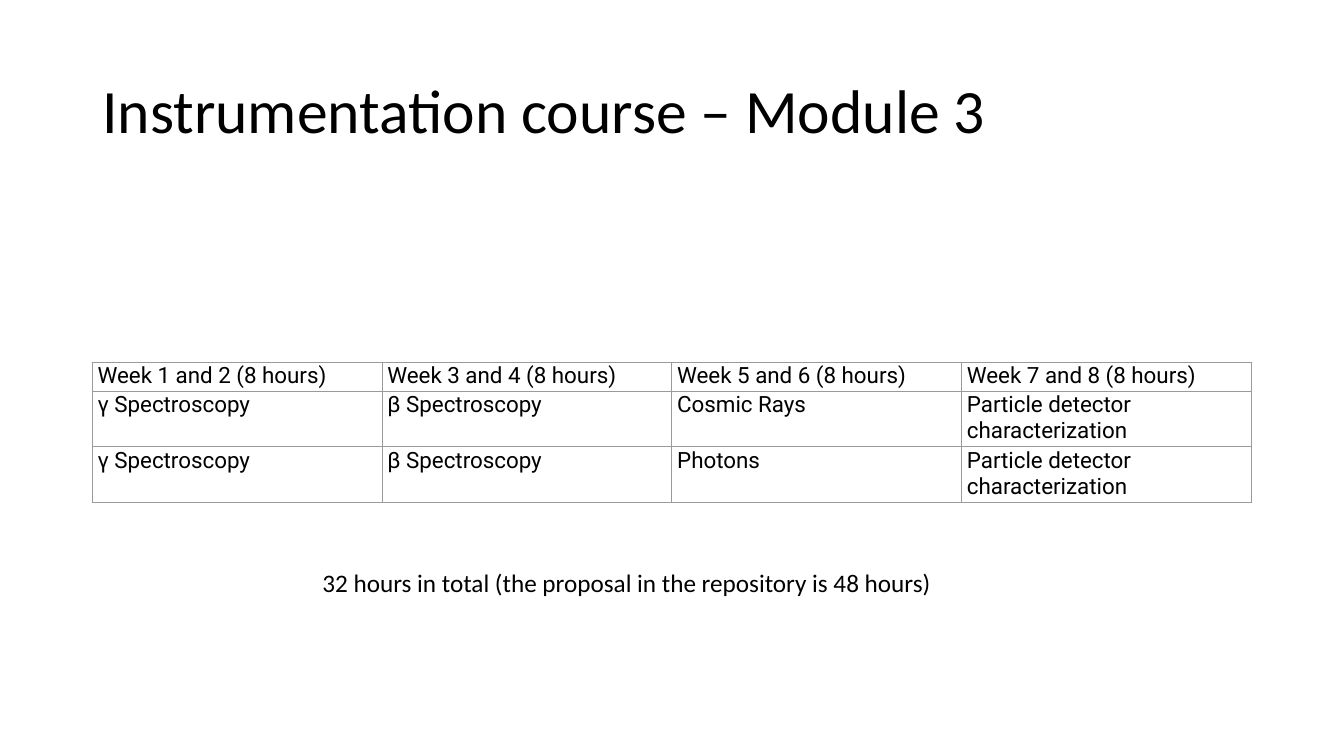
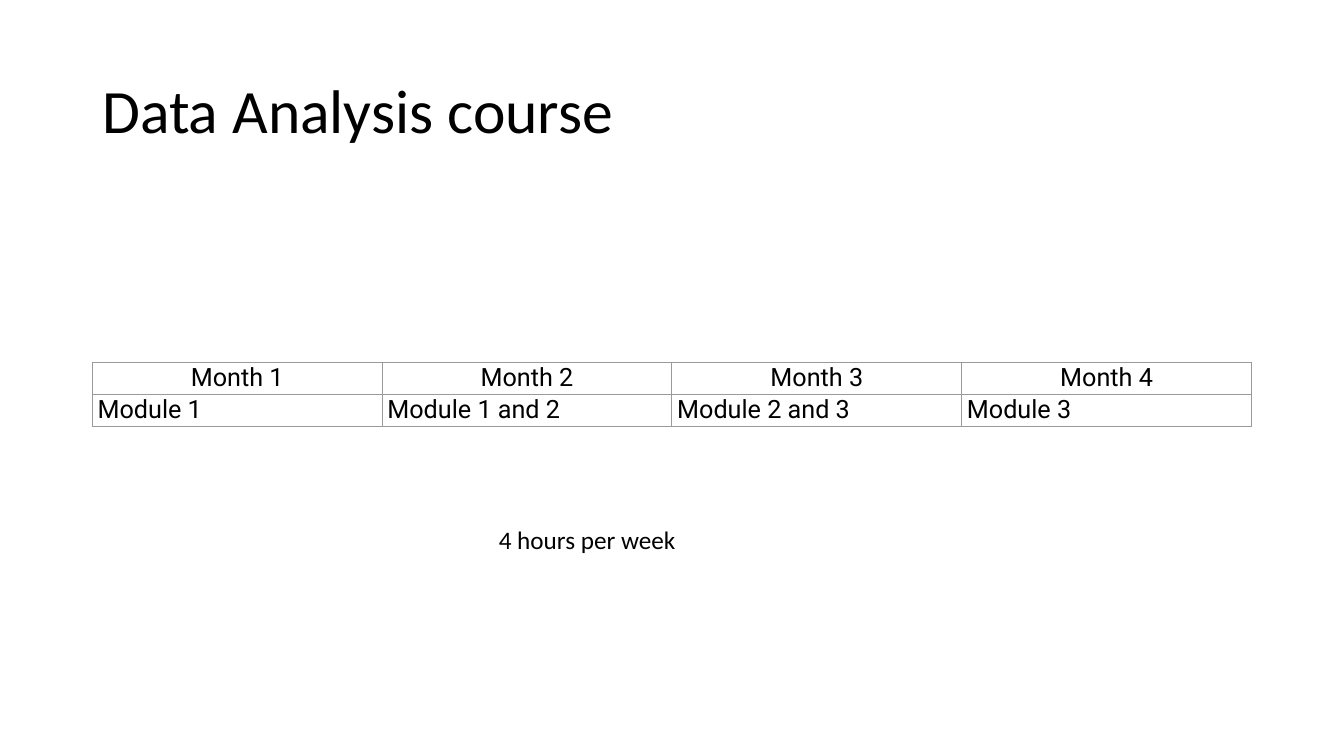
from lxml import etree
from pptx import Presentation
from pptx.dml.color import RGBColor
from pptx.enum.text import MSO_ANCHOR, MSO_AUTO_SIZE, PP_ALIGN
from pptx.oxml.ns import qn
from pptx.util import Pt

LEFT, CENTER = PP_ALIGN.LEFT, PP_ALIGN.CENTER
MIDDLE = MSO_ANCHOR.MIDDLE
GROW = MSO_AUTO_SIZE.SHAPE_TO_FIT_TEXT

# Content
COURSES = [
    {
        "title": "Instrumentation course – Module 3",
        "schedule": [
            [f"Week {first} and {first + 1} (8 hours)" for first in (1, 3, 5, 7)],
            ["γ Spectroscopy", "β Spectroscopy", "Cosmic Rays",
             "Particle detector characterization"],
            ["γ Spectroscopy", "β Spectroscopy", "Photons",
             "Particle detector characterization"],
        ],
        "row_heights": [20, 38.6, 38.6],
        "schedule_size": 16,
        "header_align": LEFT,
        "hours": "32 hours in total (the proposal in the repository is 48 hours)",
        "hours_box": (223.2, 401.8, 454.3, 29),
    },
    {
        "title": "Data Analysis course",
        "schedule": [
            [f"Month {month}" for month in range(1, 5)],
            ["Module 1", "Module 1 and 2", "Module 2 and 3", "Module 3"],
        ],
        "row_heights": [22.7, 22.7],
        "schedule_size": 18,
        "header_align": CENTER,
        "hours": "4 hours per week",
        "hours_box": (349.2, 370.8, 142.6, 29),
    },
]

# Shared style
COLORS = {"background": "FFFFFF", "text": "000000", "grid": "9A9A9A"}
TEXT_FONT, TABLE_FONT = "Calibri", "Roboto"
SLIDE_WIDTH, SLIDE_HEIGHT = 960, 540
MARGIN = 66
CONTENT_WIDTH = SLIDE_WIDTH - 2 * MARGIN
TITLE_BOX = (MARGIN, 28.8, CONTENT_WIDTH, 104.4)
TABLE_TOP = 258.6
CELL_SIDE, CELL_TOP = 3.75, 0.75
GRID_WIDTH = 0.75


def write(frame, text, size, font, align=LEFT):
    frame.text = text
    paragraph = frame.paragraphs[0]
    paragraph.alignment = align
    for run in paragraph.runs:
        run.font.size = Pt(size)
        run.font.name = font
        run.font.color.rgb = RGBColor.from_string(COLORS["text"])
    return paragraph


def add_text(slide, box, text, size):
    frame = slide.shapes.add_textbox(*map(Pt, box)).text_frame
    return frame, write(frame, text, size, TEXT_FONT)


def add_title(slide, text):
    frame, paragraph = add_text(slide, TITLE_BOX, text, 44)
    frame.word_wrap = True
    frame.vertical_anchor = MIDDLE
    paragraph.line_spacing = 0.9


def add_hours(slide, text, box):
    frame, _ = add_text(slide, box, text, 18)
    frame.word_wrap = False
    frame.auto_size = GROW


def outline(cell):
    properties = cell._tc.get_or_add_tcPr()
    for side in ("lnL", "lnR", "lnT", "lnB"):
        line = etree.SubElement(properties, qn(f"a:{side}"), w=str(Pt(GRID_WIDTH)))
        fill = etree.SubElement(line, qn("a:solidFill"))
        etree.SubElement(fill, qn("a:srgbClr"), val=COLORS["grid"])


def add_schedule(slide, rows, heights, size, header_align):
    columns = len(rows[0])
    table = slide.shapes.add_table(
        len(rows), columns, Pt(MARGIN), Pt(TABLE_TOP),
        Pt(CONTENT_WIDTH), Pt(sum(heights))).table
    table.first_row = table.horz_banding = False
    for column in table.columns:
        column.width = Pt(CONTENT_WIDTH / columns)
    for r, (labels, height) in enumerate(zip(rows, heights)):
        table.rows[r].height = Pt(height)
        for c, label in enumerate(labels):
            cell = table.cell(r, c)
            cell.margin_left = cell.margin_right = Pt(CELL_SIDE)
            cell.margin_top = cell.margin_bottom = Pt(CELL_TOP)
            outline(cell)
            cell.fill.background()
            write(cell.text_frame, label, size, TABLE_FONT,
                  header_align if r == 0 else LEFT)


# Slides
deck = Presentation()
deck.slide_width, deck.slide_height = Pt(SLIDE_WIDTH), Pt(SLIDE_HEIGHT)
blank = deck.slide_layouts[6]
for course in COURSES:
    slide = deck.slides.add_slide(blank)
    slide.background.fill.solid()
    slide.background.fill.fore_color.rgb = RGBColor.from_string(COLORS["background"])
    add_title(slide, course["title"])
    add_schedule(slide, course["schedule"], course["row_heights"],
                 course["schedule_size"], course["header_align"])
    add_hours(slide, course["hours"], course["hours_box"])

deck.save("out.pptx")
